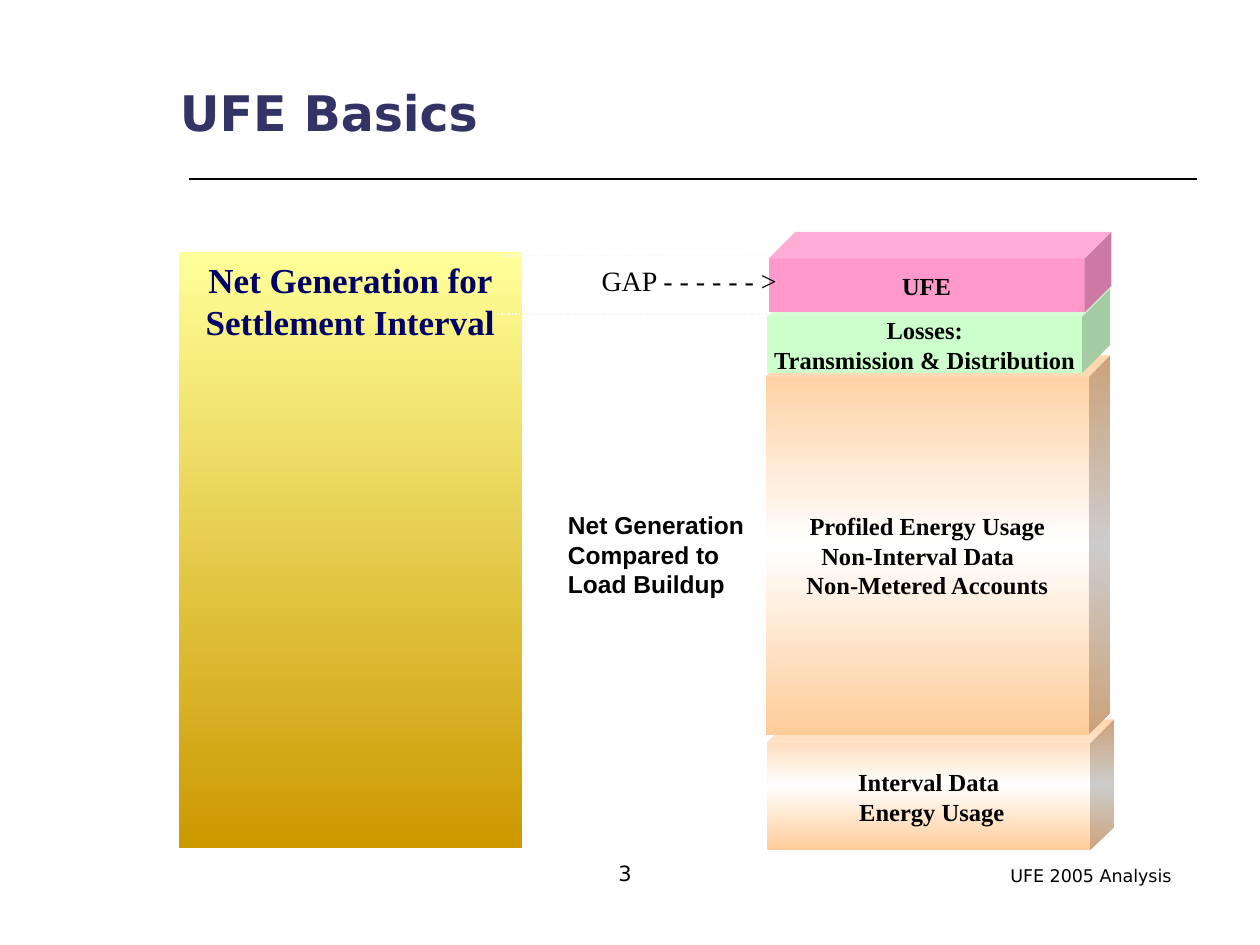
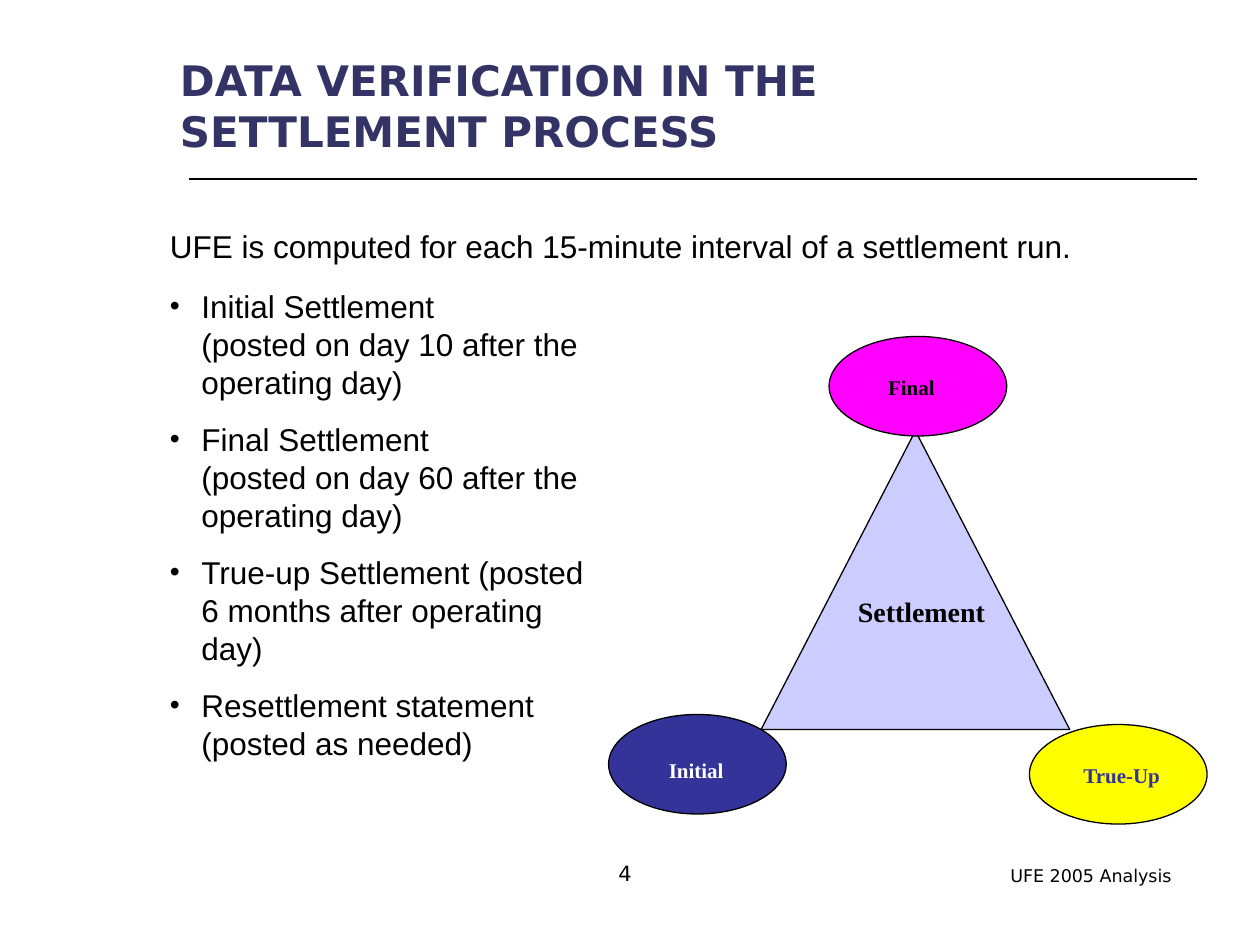
from lxml.etree import SubElement
from pptx import Presentation
from pptx.dml.color import RGBColor
from pptx.enum.dml import MSO_LINE
from pptx.enum.shapes import MSO_CONNECTOR, MSO_SHAPE as Preset
from pptx.enum.text import MSO_ANCHOR as Anchor, PP_ALIGN as Align
from pptx.oxml.ns import qn
from pptx.util import Inches, Pt

BLACK, WHITE, NAVY, INDIGO = "000000", "FFFFFF", "333366", "333399"
SANS, SERIF, HEADING = "Arial", "Times New Roman", "DejaVu Sans"
PEACH_SHEEN = ["FFCC99", WHITE, "FFCC99"]
GOLD_FADE = ["FFFF99", "CC9900"]
FOOTER = "UFE 2005 Analysis"


def rgb(color):
    return RGBColor.from_string(color)


class Deck:
    """Holds the presentation, its style and the slide being drawn."""

    def __init__(self):
        self.presentation = Presentation()
        self.presentation.slide_width = Inches(10)
        self.presentation.slide_height = Inches(7.5)
        self.slide = None

    def start_slide(self, title, box, size, anchor, number):
        layout = self.presentation.slide_layouts[6]
        self.slide = self.presentation.slides.add_slide(layout)
        self.line((1.5, 1.42), (9.5, 1.42), BLACK)
        self.text(FOOTER, (7.92, 6.82, 1.58, 0.27), 10, HEADING)
        self.text(title, box, size, HEADING, NAVY, bold=True, anchor=anchor)
        self.text(str(number), (4.42, 6.75, 1.08, 0.33), 12, HEADING,
                  align=Align.CENTER, anchor=Anchor.BOTTOM)

    def fill_text(self, shape, lines, size, font, color=BLACK, bold=False,
                  align=Align.LEFT, anchor=Anchor.TOP, inset=0.1, wrap=True,
                  bullet=False):
        """Fill a shape; a line is a string or (string, indent, alignment)."""
        frame = shape.text_frame
        frame.word_wrap = wrap
        frame.vertical_anchor = anchor
        frame.margin_left = frame.margin_right = Inches(inset)
        frame.margin_top = frame.margin_bottom = Inches(0.05)
        lines = [lines] if isinstance(lines, str) else lines
        for index, line in enumerate(lines):
            words, indent, line_align = (
                (line, 0, align) if isinstance(line, str) else line)
            paragraph = frame.add_paragraph() if index else frame.paragraphs[0]
            paragraph.text = words
            paragraph.alignment = line_align
            if indent:
                paragraph._p.get_or_add_pPr().set("marL", str(Inches(indent)))
            if bullet:
                if index:
                    paragraph.space_before = Pt(11.2)
                self.add_bullet(paragraph)
            paragraph.font.size = Pt(size)
            paragraph.font.name = font
            paragraph.font.bold = bold
            paragraph.font.color.rgb = rgb(color)

    def add_bullet(self, paragraph):
        properties = paragraph._p.get_or_add_pPr()
        properties.set("marL", str(Inches(0.25)))
        properties.set("indent", str(Inches(-0.25)))
        bullet_color = SubElement(properties, qn("a:buClr"))
        SubElement(bullet_color, qn("a:srgbClr"), val=BLACK)
        SubElement(properties, qn("a:buSzPct"), val="90000")
        SubElement(properties, qn("a:buFont"), typeface=SANS)
        SubElement(properties, qn("a:buChar"), char="•")

    def text(self, lines, box, size, font, color=BLACK, **style):
        shape = self.slide.shapes.add_textbox(*map(Inches, box))
        self.fill_text(shape, lines, size, font, color, **style)

    def shape(self, preset, box, fill, outline=None, adjustment=None):
        """Draw a preset shape; a list of colours gives a downward gradient."""
        shape = self.slide.shapes.add_shape(preset, *map(Inches, box))
        shape.shadow.inherit = False
        if adjustment is not None:
            shape.adjustments[0] = adjustment
        if isinstance(fill, list):
            self.fill_gradient(shape, fill)
        else:
            shape.fill.solid()
            shape.fill.fore_color.rgb = rgb(fill)
        if outline:
            shape.line.color.rgb = rgb(outline)
            shape.line.width = Pt(0.75)
        else:
            shape.line.fill.background()
        return shape

    def fill_gradient(self, shape, colors):
        shape.fill.gradient()
        shape.fill.gradient_angle = 270
        stops = shape._element.spPr.find(qn("a:gradFill")).find(qn("a:gsLst"))
        for stop in list(stops):
            stops.remove(stop)
        for index, color in enumerate(colors):
            position = 100000 * index // (len(colors) - 1)
            stop = SubElement(stops, qn("a:gs"), pos=str(position))
            SubElement(stop, qn("a:srgbClr"), val=color)

    def line(self, start, end, color, dash=None):
        connector = self.slide.shapes.add_connector(
            MSO_CONNECTOR.STRAIGHT, *map(Inches, start + end))
        connector.line.color.rgb = rgb(color)
        connector.line.width = Pt(1)
        if dash:
            connector.line.dash_style = dash
        SubElement(connector._element.spPr, qn("a:effectLst"))

    def cube(self, lines, box, fill, depth, inset):
        cube = self.shape(Preset.CUBE, box, fill, adjustment=depth)
        self.fill_text(cube, lines, 14, SERIF, bold=True, align=Align.CENTER,
                       anchor=Anchor.MIDDLE, inset=inset)


def build_basics(deck):
    deck.start_slide("UFE Basics", (1.33, 0.58, 4.89, 0.59), 28,
                     Anchor.BOTTOM, 3)
    generation = deck.shape(Preset.RECTANGLE, (1.42, 2, 2.72, 4.73), GOLD_FADE)
    deck.fill_text(generation, "Net Generation for Settlement Interval", 20,
                   SERIF, "000066", bold=True, align=Align.CENTER, inset=0.05)

    load_layers = [
        (["Interval Data", ("Energy Usage", 0.05, Align.CENTER)],
         (6.09, 5.71, 2.75, 1.04), PEACH_SHEEN, 0.182, 0.1),
        (["Profiled Energy Usage", ("Non-Interval Data", 0.34, Align.LEFT),
          "Non-Metered Accounts"],
         (6.08, 2.82, 2.73, 3.01), PEACH_SHEEN, 0.062, 0.1),
        (["Losses:", "Transmission & Distribution"],
         (6.09, 2.29, 2.72, 0.67), "CCFFCC", 0.331, 0.05),
        ("UFE", (6.1, 1.84, 2.72, 0.64), "FF99CC", 0.331, 0.05),
    ]
    for layer in load_layers:
        deck.cube(*layer)

    for start, end in [((3.95, 2.49), (6.1, 2.49)),
                       ((3.96, 2.03), (6.13, 2.02))]:
        deck.line(start, end, "F8F8F8", MSO_LINE.ROUND_DOT)
    deck.text("GAP - - - - - - >", (4.67, 2.04, 1.6, 0.37), 16, SERIF,
              align=Align.CENTER, anchor=Anchor.MIDDLE, wrap=False)
    deck.text(["Net Generation", "Compared to", "Load Buildup"],
              (4.41, 4, 1.6, 0.8), 14, SANS, bold=True, wrap=False)


def build_verification(deck):
    deck.start_slide("DATA VERIFICATION IN THE SETTLEMENT PROCESS",
                     (1.33, 0.52, 5.93, 0.63), 24, Anchor.MIDDLE, 4)
    deck.text("UFE is computed for each 15-minute interval of a settlement run.",
              (1.25, 1.75, 7.92, 0.5), 18, SANS)

    deck.shape(Preset.ISOSCELES_TRIANGLE, (6.04, 3.42, 2.45, 2.37),
               "CCCCFF", BLACK)
    deck.text("Settlement", (6.71, 4.67, 1.29, 0.5), 16, SERIF, bold=True)
    settlement_runs = [
        ("Initial", (4.83, 5.67), INDIGO, (4.96, 5.96), WHITE),
        ("True-Up", (8.17, 5.75), "FFFF00", (8.25, 6), INDIGO),
        ("Final", (6.58, 2.67), "FF00FF", (6.7, 2.92), BLACK),
    ]
    for name, corner, fill, label_corner, color in settlement_runs:
        deck.shape(Preset.OVAL, corner + (1.41, 0.79), fill, BLACK)
        deck.text([(name, 0.25, Align.LEFT)], label_corner + (1.38, 0.31), 12,
                  SERIF, color, bold=True)

    deck.text(["Initial Settlement\v(posted on day 10 after the operating day)",
               "Final Settlement\v(posted on day 60 after the operating day)",
               "True-up Settlement (posted 6 months after operating day)",
               "Resettlement statement (posted as needed)"],
              (1.25, 2.23, 3.67, 3.87), 18, SANS, bullet=True)


def main():
    deck = Deck()
    build_basics(deck)
    build_verification(deck)
    deck.presentation.save("out.pptx")


if __name__ == "__main__":
    main()
